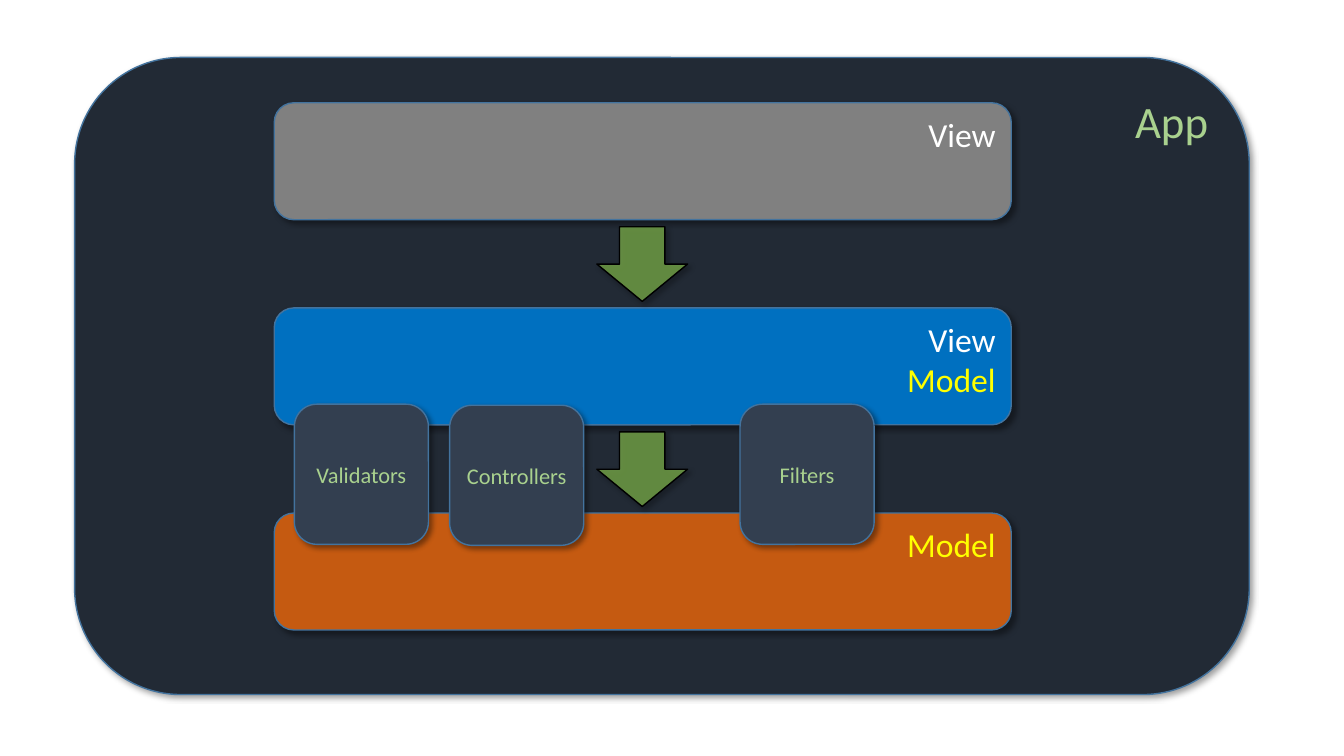
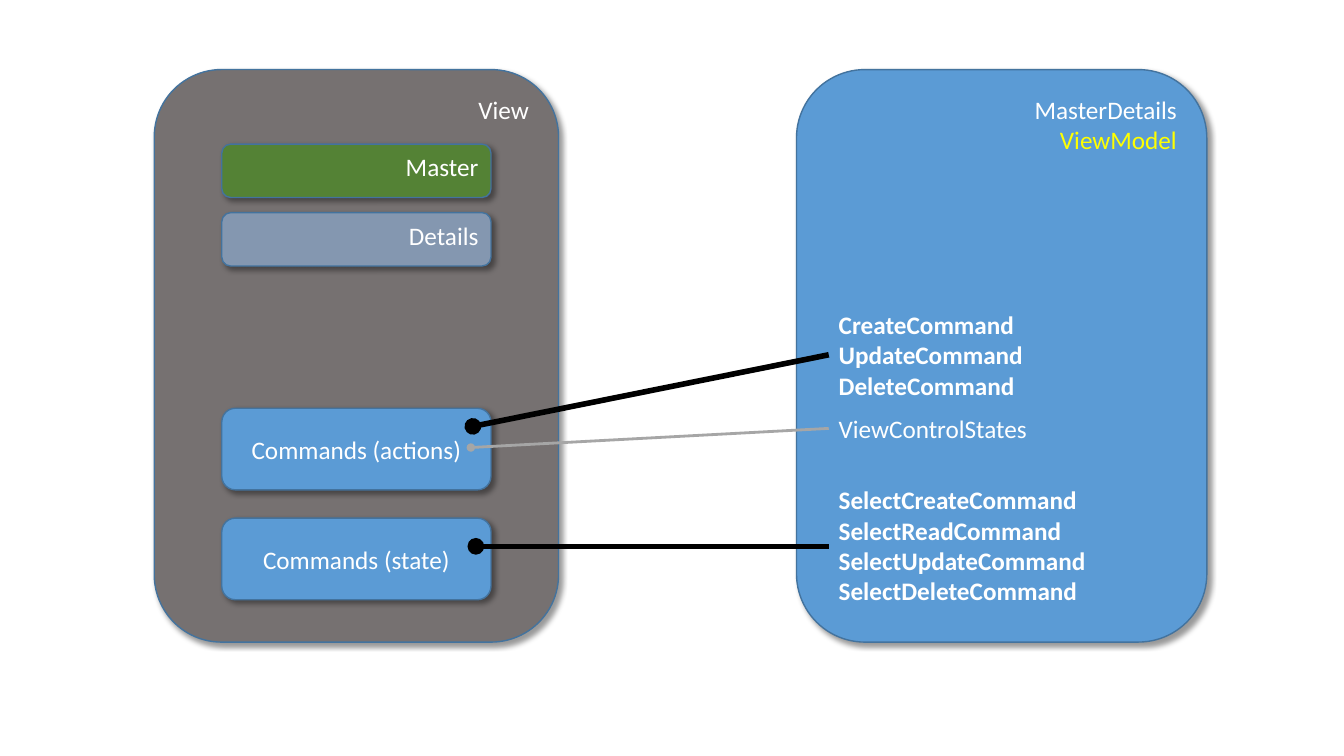
from itertools import cycle

from lxml import etree
from pptx import Presentation
from pptx import util as u
from pptx.dml.color import RGBColor
from pptx.enum import shapes, text
from pptx.oxml import ns

FONT = "Calibri"
CELL = 0.1
WHITE = RGBColor(0xFF, 0xFF, 0xFF)
BLACK = RGBColor(0x00, 0x00, 0x00)
YELLOW = RGBColor(0xFF, 0xFF, 0x00)
MINT = RGBColor(0xA9, 0xD1, 0x8E)
LIME = RGBColor(0x92, 0xD0, 0x50)
FOREST = RGBColor(0x54, 0x82, 0x35)
NIGHT = RGBColor(0x22, 0x2A, 0x35)
SLATE = RGBColor(0x33, 0x3F, 0x50)
STEEL = RGBColor(0x84, 0x97, 0xB0)
EDGE = RGBColor(0x43, 0x73, 0x9E)
BLUE = RGBColor(0x00, 0x70, 0xC0)
SKY = RGBColor(0x5B, 0x9B, 0xD5)
RUST = RGBColor(0xC5, 0x5A, 0x11)
GRAY = RGBColor(0x80, 0x80, 0x80)
WARM_GRAY = RGBColor(0x76, 0x71, 0x71)
PALE_GRAY = RGBColor(0xA6, 0xA6, 0xA6)

LEFT, CENTER, RIGHT = text.PP_ALIGN.LEFT, text.PP_ALIGN.CENTER, text.PP_ALIGN.RIGHT
TOP, MIDDLE = text.MSO_ANCHOR.TOP, text.MSO_ANCHOR.MIDDLE


def cells(*counts):
    return [u.Inches(n * CELL) for n in counts]


def child(parent, tag, **attrs):
    el = etree.SubElement(parent, ns.qn(tag))
    for name, value in attrs.items():
        el.set(name, str(value))
    return el


def write(tf, content, size=18, colors=(WHITE,), bold=False, align=RIGHT, anchor=TOP):
    tf.vertical_anchor = anchor
    for i, (line, color) in enumerate(zip(content.split("\n"), cycle(colors))):
        p = tf.add_paragraph() if i else tf.paragraphs[0]
        p.alignment = align
        r = p.add_run()
        r.text = line
        r.font.name = FONT
        r.font.size = u.Pt(size)
        r.font.bold = bold
        r.font.color.rgb = color


class Deck:
    def __init__(self):
        self.prs = Presentation()
        self.prs.slide_width = u.Inches(13.33)
        self.prs.slide_height = u.Inches(7.5)
        self.s = None

    def new_slide(self):
        self.s = self.prs.slides.add_slide(self.prs.slide_layouts[6])

    def shape(self, kind, box, fill, edge=EDGE):
        sp = self.s.shapes.add_shape(kind, *cells(*box))
        sp.fill.solid()
        sp.fill.fore_color.rgb = fill
        sp.line.color.rgb = edge
        sp.line.width = u.Pt(1)
        sp.shadow.inherit = False
        effects = sp._element.spPr.find(ns.qn("a:effectLst"))
        shadow = child(effects, "a:outerShdw", blurRad=u.Pt(4), dist=u.Pt(3),
                       dir=45 * 60000, algn="tl", rotWithShape=0)
        child(child(shadow, "a:srgbClr", val=BLACK), "a:alpha", val=40000)
        return sp

    def panel(self, box, fill, content, **style):
        sp = self.shape(shapes.MSO_SHAPE.ROUNDED_RECTANGLE, box, fill)
        write(sp.text_frame, content, **style)

    def down_arrow(self, box):
        sp = self.shape(shapes.MSO_SHAPE.DOWN_ARROW, box, LIME, edge=BLACK)
        color = sp._element.spPr.find(ns.qn("a:solidFill"))[0]
        child(color, "a:alpha", val=60000)

    def label(self, box, content, **style):
        tf = self.s.shapes.add_textbox(*cells(*box)).text_frame
        tf.word_wrap = False
        tf.auto_size = text.MSO_AUTO_SIZE.SHAPE_TO_FIT_TEXT
        write(tf, content, align=LEFT, **style)

    def link(self, start, end, color=BLACK, width=4):
        line = self.s.shapes.add_connector(
            shapes.MSO_CONNECTOR.STRAIGHT, *cells(*start, *end))
        line.line.color.rgb = color
        line.line.width = u.Pt(width)
        sp_pr = line._element.spPr
        child(sp_pr.find(ns.qn("a:ln")), "a:tailEnd", type="oval")
        child(sp_pr, "a:effectLst")


def layers_slide(deck):
    deck.new_slide()
    deck.panel((7.4, 5.7, 116.5, 63.2), NIGHT, "App", size=32, colors=(MINT,))
    top, step = 10.2, 20.35
    layers = [
        (GRAY, "View", (WHITE,)),
        (BLUE, "View\nModel", (WHITE, YELLOW)),
        (RUST, "Model", (YELLOW,)),
    ]
    for i, (fill, name, colors) in enumerate(layers):
        deck.panel((27.2, top + i * step, 73.1, 11.6), fill, name, size=24, colors=colors)
    for i in range(len(layers) - 1):
        deck.down_arrow((59.2, top + 12.3 + i * step, 9, 7.4))
    for x, y, name in [(29.2, 40.1, "Validators"), (44.6, 40.2, "Controllers"),
                       (73.4, 40.1, "Filters")]:
        deck.panel((x, y, 13.3, 13.9), SLATE, name, size=16, colors=(MINT,),
                   align=CENTER, anchor=MIDDLE)


def commands_slide(deck):
    deck.new_slide()
    label_x = 82.2
    deck.panel((79, 6.9, 40.7, 56.8), SKY, "MasterDetails\nViewModel",
               colors=(WHITE, YELLOW))
    deck.label((label_x, 30.2, 20.4, 10.1),
               "CreateCommand\nUpdateCommand\nDeleteCommand", bold=True)
    deck.label((label_x, 47.6, 26.7, 13.1),
               "SelectCreateCommand\nSelectReadCommand\n"
               "SelectUpdateCommand\nSelectDeleteCommand", bold=True)
    deck.panel((15.3, 6.9, 40.1, 56.8), WARM_GRAY, "View")
    for y, fill, name in [(14.3, FOREST, "Master"), (21.1, STEEL, "Details")]:
        deck.panel((22, y, 26.7, 5.3), fill, name)
    for y, name in [(51.4, "Commands (state)"), (40.5, "Commands (actions)")]:
        deck.panel((22, y, 26.7, 8.1), SKY, name, align=CENTER, anchor=MIDDLE)
    deck.link((label_x, 54.2), (47.2, 54.2))
    deck.link((label_x, 35.2), (46.9, 42.3))
    deck.label((label_x, 40.5, 21.3, 4), "ViewControlStates")
    deck.link((label_x, 42.5), (46.7, 44.4), color=PALE_GRAY, width=2)


def main():
    deck = Deck()
    layers_slide(deck)
    commands_slide(deck)
    deck.prs.save("out.pptx")


if __name__ == "__main__":
    main()
